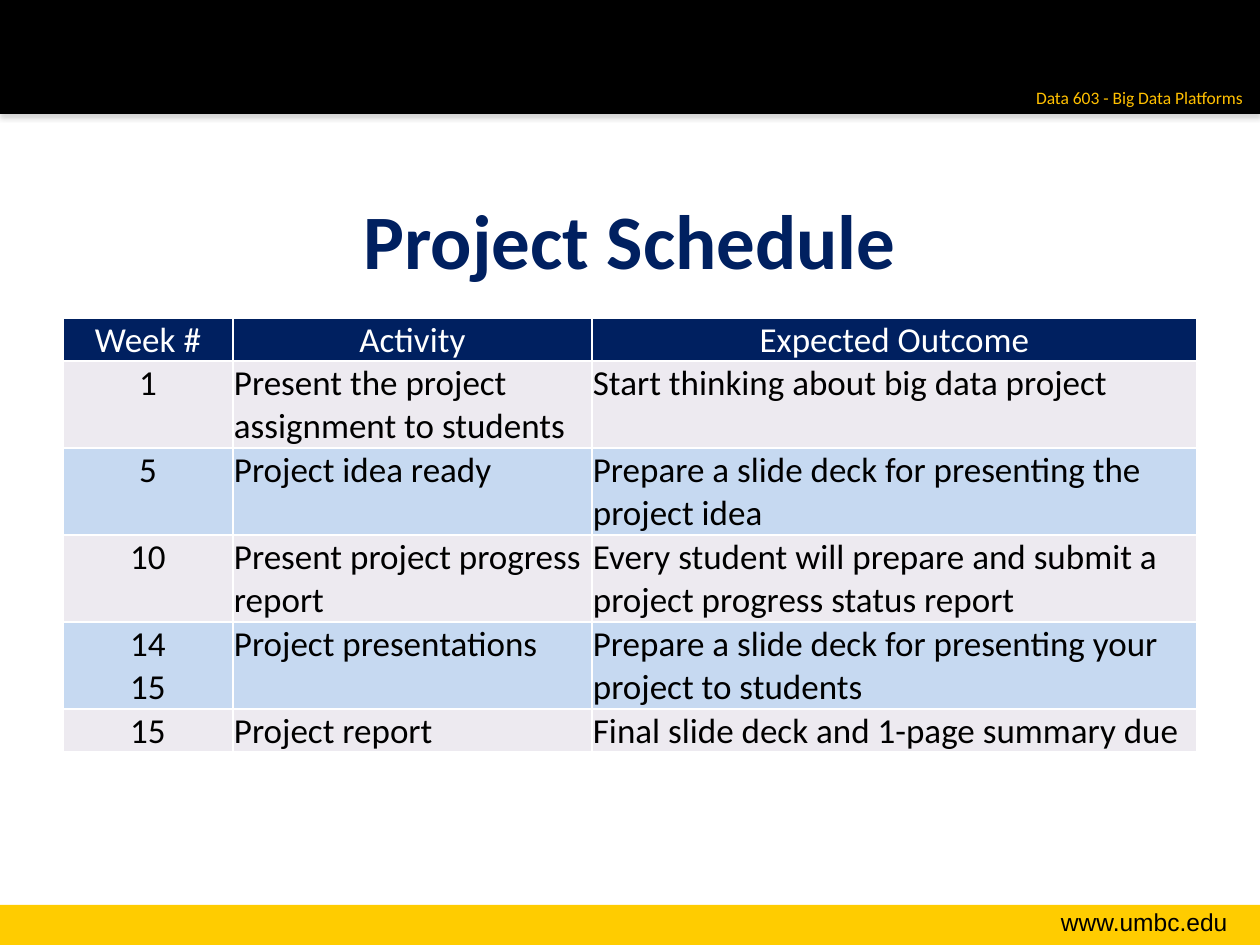
import pptx
import pptx.dml.color
import pptx.enum.shapes
import pptx.enum.text
import pptx.oxml
import pptx.oxml.ns
import pptx.util

ALIGN = pptx.enum.text.PP_ALIGN
ANCHOR = pptx.enum.text.MSO_ANCHOR
NAMESPACE = pptx.oxml.ns.nsdecls("a")

SCHEDULE = [
    ("Week #", "Activity", "Expected Outcome"),
    ("1", "Present the project assignment to students", "Start thinking about big data project"),
    ("5", "Project idea ready", "Prepare a slide deck for presenting the project idea"),
    ("10", "Present project progress report",
     "Every student will prepare and submit a project progress status report"),
    ("14\n15", "Project presentations",
     "Prepare a slide deck for presenting your project to students"),
    ("15", "Project report", "Final slide deck and 1-page summary due"),
]


def px(length):
    return pptx.util.Emu(round(length * 914400 / 126))


def color(value):
    return pptx.dml.color.RGBColor.from_string(value)


def write(paragraph, text, size=20, font="Calibri", ink="000000", bold=False, align=ALIGN.LEFT):
    paragraph.alignment = align
    for index, line in enumerate(text.split("\n")):
        if index:
            paragraph.add_line_break()
        run = paragraph.add_run()
        run.text = line
        run.font.size = pptx.util.Pt(size)
        run.font.name = font
        run.font.bold = bold
        run.font.color.rgb = color(ink)


class SlideBuilder:
    navy = "002060"
    white = "FFFFFF"
    bands = ("EDEAF0", "C6D9F1")

    def __init__(self, presentation):
        self.slide = presentation.slides.add_slide(presentation.slide_layouts[5])

    def bar(self, top, height, fill, shadow=False):
        shape = self.slide.shapes.add_shape(
            pptx.enum.shapes.MSO_SHAPE.RECTANGLE, 0, px(top), px(1260), px(height))
        shape.shadow.inherit = False
        shape.fill.solid()
        shape.fill.fore_color.rgb = color(fill)
        shape.line.fill.background()
        if shadow:
            effects = shape._element.spPr.find(pptx.oxml.ns.qn("a:effectLst"))
            effects.append(pptx.oxml.parse_xml(
                f'<a:outerShdw {NAMESPACE} blurRad="39370" dist="22860" dir="5400000" '
                'rotWithShape="0"><a:srgbClr val="808080"><a:alpha val="35000"/>'
                '</a:srgbClr></a:outerShdw>'))

    def label(self, text, left, top, width, height, wrap=True, **style):
        shape = self.slide.shapes.add_textbox(px(left), px(top), px(width), px(height))
        frame = shape.text_frame
        frame.word_wrap = wrap
        frame.auto_size = pptx.enum.text.MSO_AUTO_SIZE.SHAPE_TO_FIT_TEXT
        write(frame.paragraphs[0], text, align=ALIGN.RIGHT, **style)

    def title(self, text, left, top, width, height):
        shape = self.slide.shapes.title
        shape.left, shape.top = px(left), px(top)
        shape.width, shape.height = px(width), px(height)
        shape.text_frame.vertical_anchor = ANCHOR.MIDDLE
        write(shape.text_frame.paragraphs[0], text, size=44, ink=self.navy,
              bold=True, align=ALIGN.CENTER)

    def cell(self, cell, text, fill, anchor, **style):
        cell.margin_left = cell.margin_right = cell.margin_top = px(1)
        cell.margin_bottom = 0
        cell.vertical_anchor = anchor
        cell.fill.solid()
        cell.fill.fore_color.rgb = color(fill)
        properties = cell._tc.get_or_add_tcPr()
        for index, side in enumerate("LRTB"):
            properties.insert(index, pptx.oxml.parse_xml(
                f'<a:ln{side} {NAMESPACE} w="12700"><a:solidFill>'
                f'<a:srgbClr val="{self.white}"/></a:solidFill></a:ln{side}>'))
        write(cell.text_frame.paragraphs[0], text, **style)

    def table(self, rows, left, top, widths, heights):
        table = self.slide.shapes.add_table(
            len(rows), len(widths), px(left), px(top), px(sum(widths)), px(sum(heights))).table
        table.horz_banding = False
        for column, width in zip(table.columns, widths):
            column.width = px(width)
        for row_index, texts in enumerate(rows):
            table.rows[row_index].height = px(heights[row_index])
            header = row_index == 0
            fill = self.navy if header else self.bands[(row_index - 1) % 2]
            anchor = ANCHOR.BOTTOM if header else ANCHOR.TOP
            ink = self.white if header else "000000"
            for column_index, text in enumerate(texts):
                centered = header or column_index == 0
                self.cell(table.cell(row_index, column_index), text, fill, anchor, ink=ink,
                          align=ALIGN.CENTER if centered else ALIGN.LEFT)


def main():
    presentation = pptx.Presentation()
    presentation.slide_width = px(1260)
    presentation.slide_height = px(945)
    builder = SlideBuilder(presentation)
    builder.bar(905, 40, "FFCC00")
    builder.bar(0, 114, "000000", shadow=True)
    builder.label("www.umbc.edu", 989, 901, 251, 43, size=14, font="Arial")
    builder.label("Data 603 - Big Data Platforms", 1019, 81, 236, 34, wrap=False,
                  size=10, ink="FFC000")
    builder.title("Project Schedule", 63, 160, 1134, 158)
    builder.table(SCHEDULE, 63, 318, (170, 359, 605), (43, 87, 87, 87, 87, 43))
    presentation.save("out.pptx")


if __name__ == "__main__":
    main()
